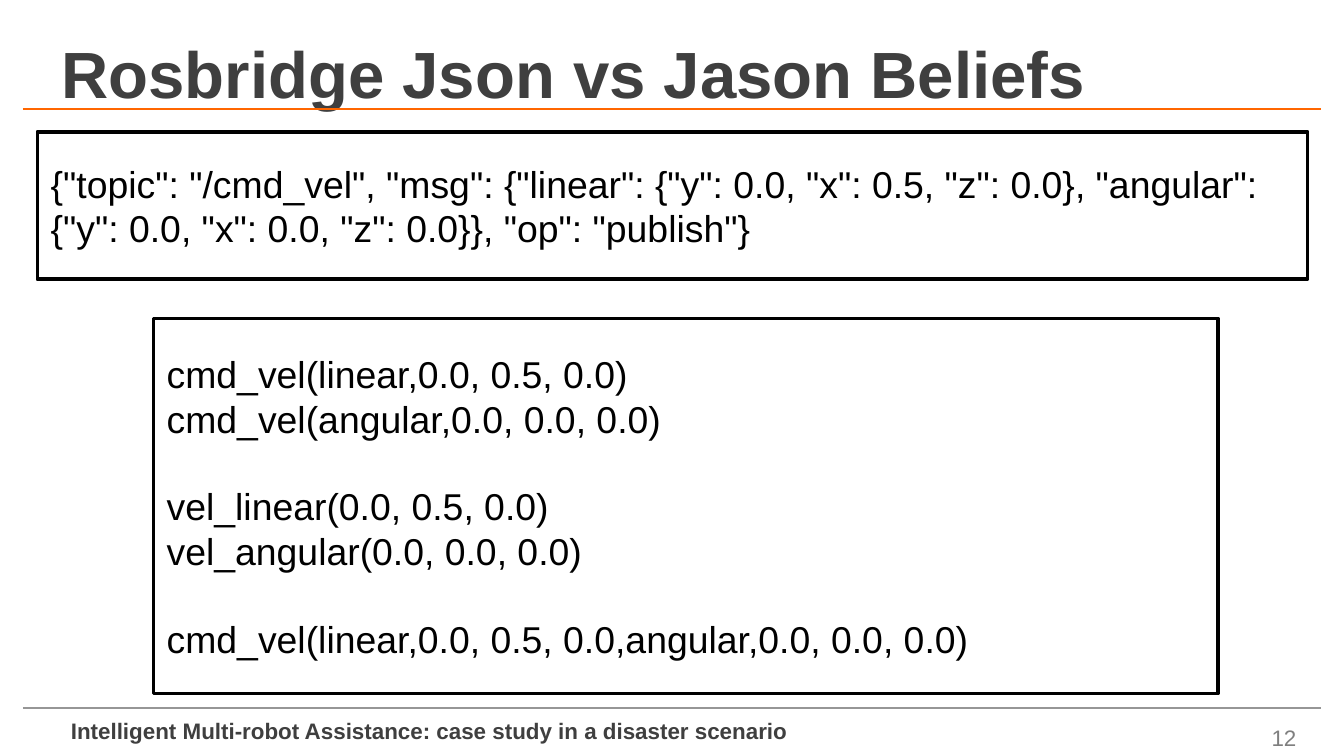
"""Build the slide that sets Rosbridge JSON beside Jason beliefs."""
from pptx import Presentation
from pptx import util as u
from pptx.dml.color import RGBColor
from pptx.enum import shapes, text
from pptx.oxml.ns import qn
from lxml import etree

SIZE = (25.4, 14.29)
TITLE = ("Rosbridge Json vs Jason Beliefs", (0.91, 0.41, 23.55, 1.93))
RULES = [(13.39, "969696", 1), (2.06, "FF6600", 1.5)]
EDGE = 0.43
NOTES = [
    ("Intelligent Multi-robot Assistance: case study in a disaster scenario",
     (1.09, 13.44, 14.2, 0.58), {"hue": "3F3F3F", "bold": True}),
    ("12 ", (18.95, 13.56, 5.92, 0.71),
     {"hue": "7F7F7F", "align": text.PP_ALIGN.RIGHT}),
]
BOXES = [
    ((0.71, 2.49, 24, 2.79), [
        ['{"topic": "/cmd_vel", "msg": {"linear": {"y": 0.0, "x": 0.5, "z": 0.0}, '
         '"angular": {"y": 0.0, "x": 0.0, "z": 0.0}}, "op": "publish"}'],
    ]),
    ((2.9, 6.02, 20.12, 7.09), [
        ["cmd_vel(linear,0.0, 0.5, 0.0)", "cmd_vel(angular,0.0, 0.0, 0.0)"],
        ["vel_linear(0.0, 0.5, 0.0)", "vel_angular(0.0, 0.0, 0.0)"],
        ["cmd_vel(linear,0.0, 0.5, 0.0,angular,0.0, 0.0, 0.0)"],
    ]),
]
GAP = 23


def color(code):
    return RGBColor.from_string(code)


def place(spot):
    return [u.Cm(n) for n in spot]


def write(shape, groups, size=12, hue="000000", bold=False,
          align=text.PP_ALIGN.LEFT, anchor=text.MSO_ANCHOR.TOP):
    frame = shape.text_frame
    frame.word_wrap = True
    frame.auto_size = text.MSO_AUTO_SIZE.NONE
    frame.vertical_anchor = anchor
    lines = [(line, i > 0 and j == 0)
             for i, group in enumerate(groups) for j, line in enumerate(group)]
    for k, (line, first) in enumerate(lines):
        para = frame.add_paragraph() if k else frame.paragraphs[0]
        para.alignment = align
        para.space_before = u.Pt(GAP if first else 0)
        run = para.add_run()
        run.text = line
        font = run.font
        font.name, font.size, font.bold = "Arial", u.Pt(size), bold
        font.color.rgb = color(hue)


def main():
    deck = Presentation()
    deck.slide_width, deck.slide_height = place(SIZE)
    slide = deck.slides.add_slide(deck.slide_layouts[5])
    items = slide.shapes
    middle = text.MSO_ANCHOR.MIDDLE

    for y, hue, width in RULES:
        ends = place((EDGE, y, SIZE[0] - EDGE, y))
        rule = items.add_connector(shapes.MSO_CONNECTOR.STRAIGHT, *ends)
        rule.line.color.rgb = color(hue)
        rule.line.width = u.Pt(width)
        etree.SubElement(rule._element.spPr, qn("a:effectLst"))

    words, spot = TITLE
    title = items.title
    title.left, title.top, title.width, title.height = place(spot)
    write(title, [[words]], size=35, hue="3F3F3F", bold=True, anchor=middle)

    for words, spot, style in NOTES:
        write(items.add_textbox(*place(spot)), [[words]], **style)

    for spot, groups in BOXES:
        box = items.add_shape(shapes.MSO_SHAPE.RECTANGLE, *place(spot))
        box.shadow.inherit = False
        box.fill.solid()
        box.fill.fore_color.rgb = color("FFFFFF")
        box.line.color.rgb = color("000000")
        box.line.width = u.Pt(2)
        write(box, groups, size=20, anchor=middle)

    deck.save("out.pptx")


if __name__ == "__main__":
    main()
